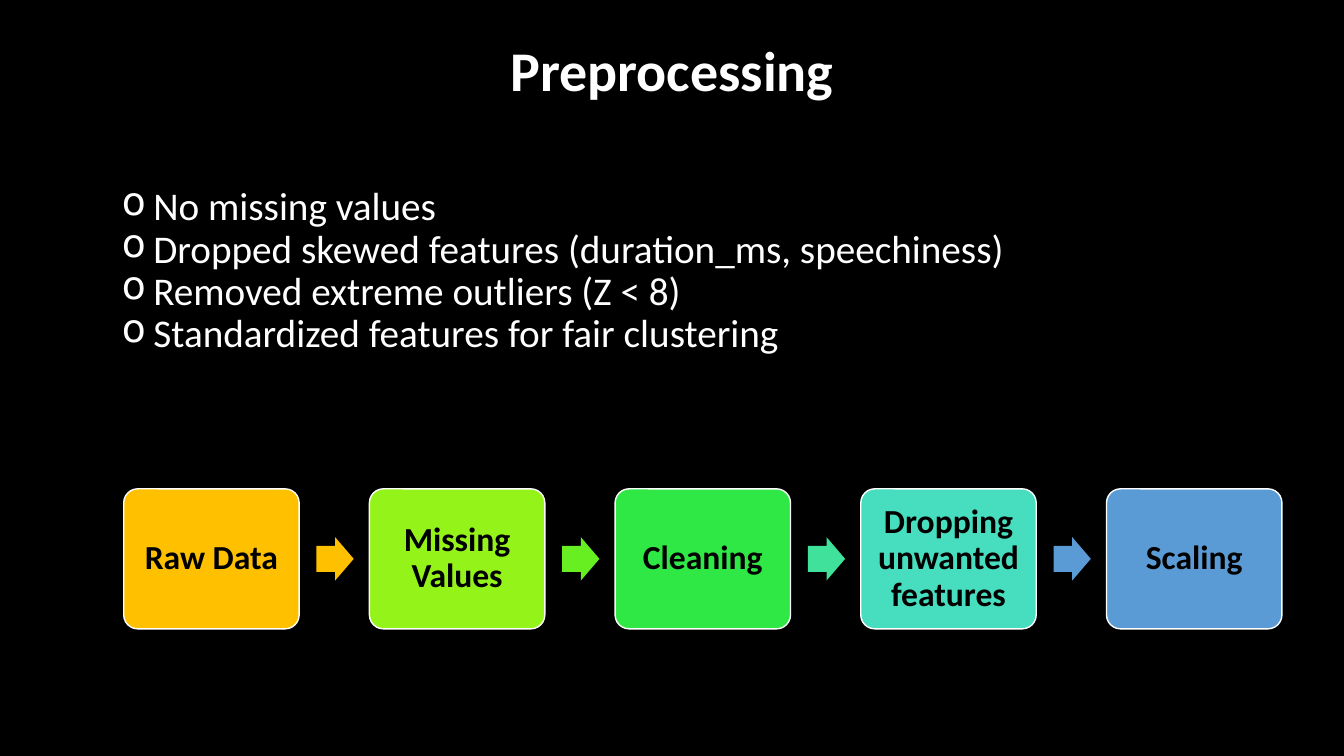
from lxml import etree
from pptx import Presentation
from pptx.dml.color import RGBColor
from pptx.enum.shapes import MSO_SHAPE
from pptx.enum.text import MSO_ANCHOR, MSO_AUTO_SIZE, PP_ALIGN
from pptx.oxml.ns import qn
from pptx.util import Pt

STEPS = [
    ("Raw Data", "FFC000"),
    ("Missing Values", "94F319"),
    ("Cleaning", "30E845"),
    ("Dropping unwanted features", "46DEBF"),
    ("Scaling", "5B9BD5"),
]
ARROW_COLOURS = ["FFC000", "67EF21", "3FE19B", "5B9BD5"]
BULLETS = [
    "No missing values",
    "Dropped skewed features (duration_ms, speechiness)",
    "Removed extreme outliers (Z < 8)",
    "Standardized features for fair clustering",
]
FLOW_LEFT, FLOW_MIDDLE, STEP_PITCH = 88.4, 399.2, 175.5
STEP_WIDTH, STEP_HEIGHT = 125.3, 100
ARROW_OFFSET, ARROW_WIDTH, ARROW_HEIGHT = 137.7, 26.6, 31


def colour(value):
    return RGBColor.from_string(value)


def write(paragraph, text, *, size, color="FFFFFF", bold=False, align=PP_ALIGN.LEFT):
    paragraph.text = text
    paragraph.alignment = align
    paragraph.line_spacing = 0.9
    font = paragraph.runs[0].font
    font.name = "Calibri"
    font.size = Pt(size)
    font.bold = bold
    font.color.rgb = colour(color)


def add_bullet(paragraph, indent, hanging):
    properties = paragraph._p.get_or_add_pPr()
    properties.set("marL", str(Pt(indent)))
    properties.set("indent", str(-Pt(hanging)))
    etree.SubElement(properties, qn("a:buChar"), char="o")


def set_title(slide, text):
    title = slide.shapes.title
    title.left, title.top, title.width, title.height = Pt(66), Pt(0), Pt(828), Pt(104.4)
    frame = title.text_frame
    frame.auto_size = MSO_AUTO_SIZE.NONE
    frame.vertical_anchor = MSO_ANCHOR.MIDDLE
    write(frame.paragraphs[0], text, size=40, bold=True, align=PP_ALIGN.CENTER)


def add_bullet_list(slide, items):
    box = slide.shapes.add_textbox(Pt(44), Pt(130), Pt(828), Pt(182))
    frame = box.text_frame
    frame.word_wrap = True
    for index, item in enumerate(items):
        paragraph = frame.add_paragraph() if index else frame.paragraphs[0]
        add_bullet(paragraph, 58.5, 22.5)
        write(paragraph, item, size=28)


def add_filled_shape(slide, kind, left, width, height, fill, adjustments):
    shape = slide.shapes.add_shape(
        kind, Pt(left), Pt(FLOW_MIDDLE - height / 2), Pt(width), Pt(height)
    )
    shape.shadow.inherit = False
    shape.fill.solid()
    shape.fill.fore_color.rgb = colour(fill)
    shape.line.fill.background()
    for index, value in enumerate(adjustments):
        shape.adjustments[index] = value
    return shape


def add_step(slide, left, text, fill):
    step = add_filled_shape(
        slide, MSO_SHAPE.ROUNDED_RECTANGLE, left, STEP_WIDTH, STEP_HEIGHT, fill, [0.1]
    )
    step.line.color.rgb = colour("FFFFFF")
    step.line.width = Pt(1)
    frame = step.text_frame
    frame.word_wrap = True
    frame.vertical_anchor = MSO_ANCHOR.MIDDLE
    frame.margin_left = frame.margin_right = Pt(7)
    frame.margin_top = frame.margin_bottom = Pt(7)
    write(frame.paragraphs[0], text, size=24, color="000000", bold=True,
          align=PP_ALIGN.CENTER)


def add_arrow(slide, left, fill):
    add_filled_shape(
        slide, MSO_SHAPE.RIGHT_ARROW, left, ARROW_WIDTH, ARROW_HEIGHT, fill, [0.6, 0.5]
    )


def main():
    presentation = Presentation()
    presentation.slide_width, presentation.slide_height = Pt(960), Pt(540)
    slide = presentation.slides.add_slide(presentation.slide_layouts[5])
    slide.background.fill.solid()
    slide.background.fill.fore_color.rgb = colour("000000")

    set_title(slide, "Preprocessing")
    add_bullet_list(slide, BULLETS)
    for index, (text, fill) in enumerate(STEPS):
        add_step(slide, FLOW_LEFT + index * STEP_PITCH, text, fill)
    for index, fill in enumerate(ARROW_COLOURS):
        add_arrow(slide, FLOW_LEFT + ARROW_OFFSET + index * STEP_PITCH, fill)

    presentation.save("out.pptx")


if __name__ == "__main__":
    main()
